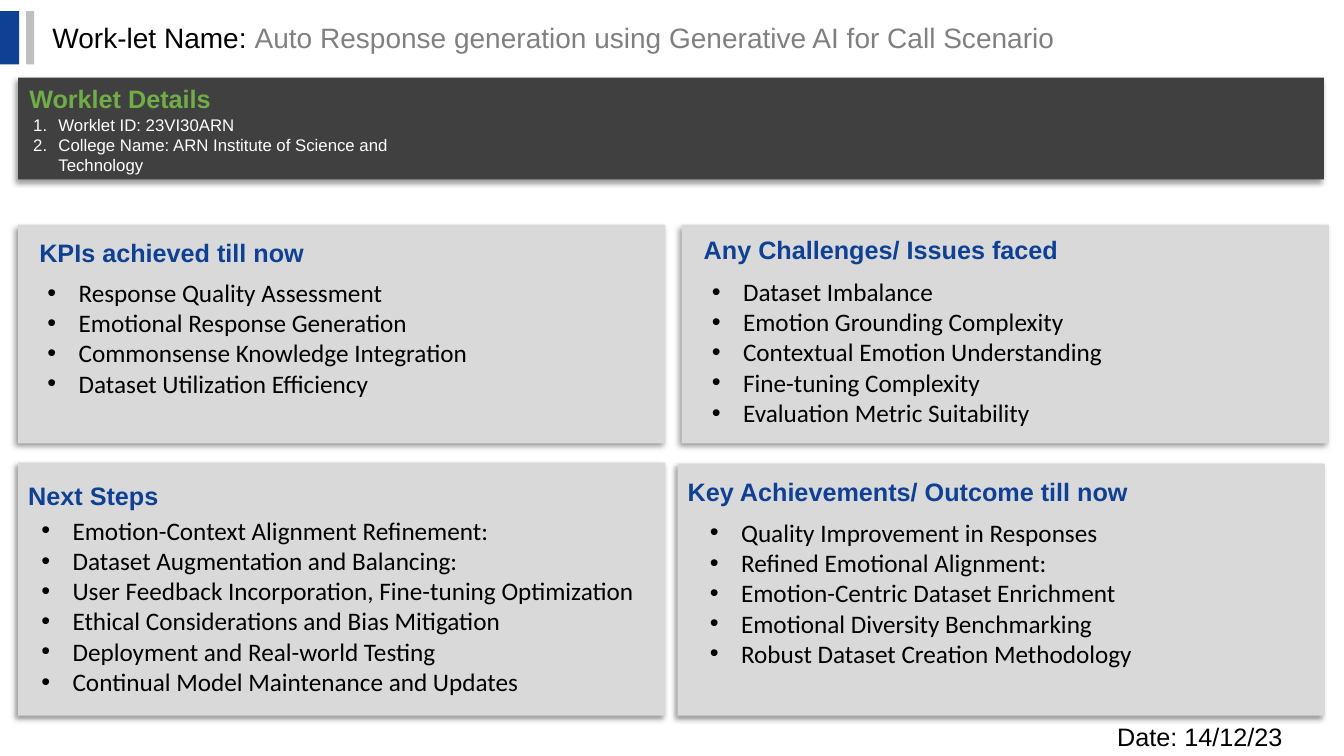
from dataclasses import dataclass

from lxml.etree import SubElement as Sub
from pptx import Presentation
from pptx.dml.color import RGBColor as Rgb
from pptx.enum.shapes import MSO_SHAPE as Kind
from pptx.enum.text import MSO_ANCHOR as Anchor
from pptx.enum.text import MSO_AUTO_SIZE as Fit
from pptx.enum.text import PP_ALIGN as Align
from pptx.oxml.ns import qn
from pptx.util import Pt

PX = 9144  # 100 px to the inch


@dataclass(frozen=True)
class Theme:
    blue: str = "0E4094"
    green: str = "70AD47"
    black: str = "000000"
    white: str = "FFFFFF"
    gray: str = "808080"
    bar: str = "BFBFBF"
    dark: str = "404040"
    panel: str = "D9D9D9"
    head: str = "Arial"
    body: str = "Calibri"
    big: int = 20
    mid: int = 18
    small: int = 12


T = Theme()

# Panel box, heading, heading box, list box, list items
PANELS = [
    ((18, 223, 642, 217), "KPIs achieved till now",
     (34, 231, 274, 41), (42, 270, 592, 131),
     ["Response Quality Assessment", "Emotional Response Generation",
      "Commonsense Knowledge Integration", "Dataset Utilization Efficiency"]),
    ((676, 223, 642, 217), "Any Challenges/ Issues faced",
     (693, 228, 363, 41), (701, 269, 582, 162),
     ["Dataset Imbalance", "Emotion Grounding Complexity",
      "Contextual Emotion Understanding", "Fine-tuning Complexity",
      "Evaluation Metric Suitability"]),
    ((18, 459, 642, 251), "Next Steps",
     (23, 472, 632, 40), (36, 506, 607, 222),
     ["Emotion-Context Alignment Refinement:",
      "Dataset Augmentation and Balancing:",
      "User Feedback Incorporation, Fine-tuning Optimization",
      "Ethical Considerations and Bias Mitigation",
      "Deployment and Real-world Testing",
      "Continual Model Maintenance and Updates"]),
    ((672, 460, 642, 250), "Key Achievements/ Outcome till now",
     (677, 468, 448, 41), (699, 508, 531, 162),
     ["Quality Improvement in Responses", "Refined Emotional Alignment:",
      "Emotion-Centric Dataset Enrichment", "Emotional Diversity Benchmarking",
      "Robust Dataset Creation Methodology"]),
]


def emu(box):
    return [n * PX for n in box]


def rect(slide, box, color, shade=False):
    shape = slide.shapes.add_shape(Kind.RECTANGLE, *emu(box))
    shape.fill.solid()
    shape.fill.fore_color.rgb = Rgb.from_string(color)
    shape.line.fill.background()
    shape.shadow.inherit = False
    if shade:
        fx = shape._element.spPr.find(qn("a:effectLst"))
        drop = Sub(fx, qn("a:outerShdw"), blurRad=str(Pt(4)), dist=str(Pt(3)),
                   dir=str(135 * 60000), algn="tr", rotWithShape="0")
        tint = Sub(drop, qn("a:srgbClr"), val=T.black)
        Sub(tint, qn("a:alpha"), val="40000")


def frame(shape, anchor=Anchor.TOP, wrap=True):
    text = shape.text_frame
    text.auto_size = Fit.NONE
    text.word_wrap = wrap
    text.vertical_anchor = anchor
    text.margin_left = text.margin_right = 5 * PX
    text.margin_top = text.margin_bottom = 5 * PX
    return text


def place(slide, hold, box):
    """Move a placeholder to its box, in front of the panels."""
    hold.left, hold.top, hold.width, hold.height = emu(box)
    slide.shapes._spTree.append(hold._element)


def write(para, text, size, color, font=T.head, bold=False):
    run = para.add_run()
    run.text = text
    run.font.size = Pt(size)
    run.font.name = font
    run.font.bold = bold
    run.font.color.rgb = Rgb.from_string(color)


def label(slide, box, text, color, bold=True, anchor=Anchor.TOP, wrap=False):
    shape = slide.shapes.add_textbox(*emu(box))
    para = frame(shape, anchor, wrap).paragraphs[0]
    write(para, text, T.mid, color, bold=bold)


def items(shape, lines, indent, mark, size, color, font):
    """Fill a list; mark is a bullet tag with its attributes."""
    text = frame(shape)
    tag, attrs = mark
    for i, line in enumerate(lines):
        para = text.add_paragraph() if i else text.paragraphs[0]
        para.alignment = Align.LEFT
        para.space_before = para.space_after = Pt(0)
        props = para._p.get_or_add_pPr()
        props.set("marL", str(indent * PX))
        props.set("indent", str(-indent * PX))
        Sub(props, qn("a:buFont"), typeface=T.head)
        Sub(props, qn(tag), **attrs)
        write(para, line, size, color, font)


def header(slide):
    rect(slide, (0, 11, 19, 53), T.blue)
    rect(slide, (26, 11, 8, 53), T.bar)
    title = slide.shapes.title
    place(slide, title, (47, 16, 1086, 43))
    para = frame(title, Anchor.MIDDLE).paragraphs[0]
    para.alignment = Align.LEFT
    write(para, "Work-let Name: ", T.big, T.black)
    write(para, "Auto Response generation using Generative AI for Call Scenario",
          T.big, T.gray)


def details(slide):
    rect(slide, (18, 77, 1295, 101), T.dark, shade=True)
    label(slide, (24, 78, 191, 40), "Worklet Details", T.green)
    shape = slide.shapes.add_textbox(*emu((28, 109, 446, 51)))
    items(shape, ["Worklet ID: 23VI30ARN",
                  "College Name: ARN Institute of Science and Technology"],
          25, ("a:buAutoNum", {"type": "arabicPeriod"}),
          T.small, T.white, T.head)


def panel(slide, hold, box, head, spot, area, lines):
    rect(slide, box, T.panel, shade=True)
    label(slide, spot, head, T.blue)
    place(slide, hold, area)
    items(hold, lines, 31, ("a:buChar", {"char": "•"}),
          T.mid, T.black, T.body)


def main():
    deck = Presentation()
    deck.slide_width, deck.slide_height = emu((1333, 750))
    # The comparison layout holds a title and four lists
    slide = deck.slides.add_slide(deck.slide_layouts[4])
    holds = list(slide.placeholders)[1:]
    header(slide)
    details(slide)
    for hold, parts in zip(holds, PANELS):
        panel(slide, hold, *parts)
    # Date in the lower right corner
    label(slide, (1103, 710, 225, 41), "Date: 14/12/23", T.black,
          bold=False, anchor=Anchor.MIDDLE, wrap=True)
    deck.save("out.pptx")


if __name__ == "__main__":
    main()
